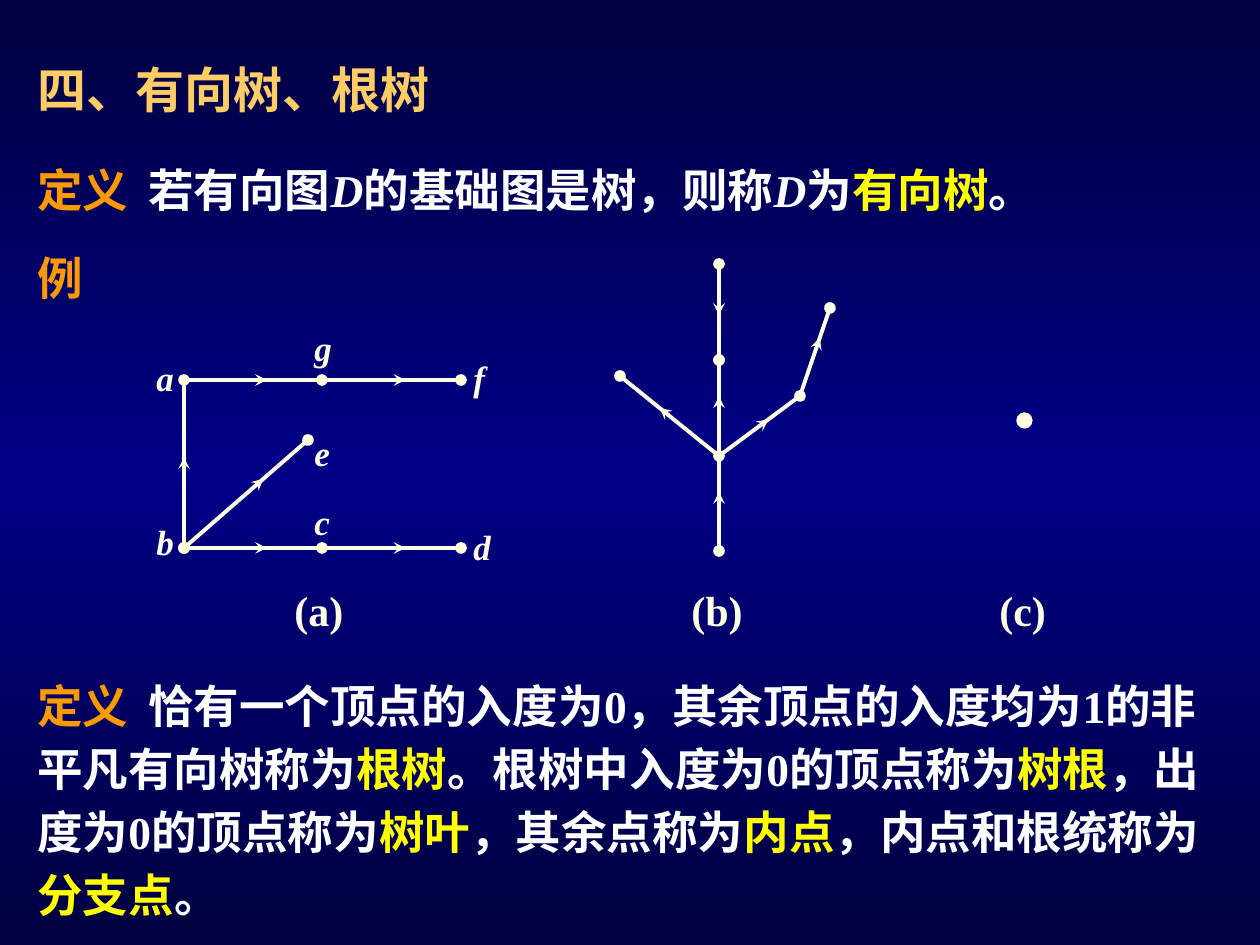
from copy import deepcopy
from dataclasses import dataclass
from math import hypot

from lxml.etree import SubElement
from pptx import Presentation
from pptx.dml.color import RGBColor as Rgb
from pptx.enum.shapes import MSO_CONNECTOR as Connector, MSO_SHAPE as Shape
from pptx.enum.text import MSO_ANCHOR as Anchor, MSO_AUTO_SIZE as AutoSize, PP_ALIGN as Align
from pptx.oxml.ns import qn
from pptx.util import Emu, Pt

PX_PER_INCH = 126


def px(length):
    return Emu(round(length * 914400 / PX_PER_INCH))


@dataclass(frozen=True)
class Theme:
    edge: str = "00003E"
    middle: str = "000086"
    heading: str = "FFCC66"
    term: str = "FF9900"
    body: str = "FFFFFF"
    key: str = "FFFF00"
    ink: str = "FFFFE1"
    serif: str = "Times New Roman"
    sans: str = "Arial"
    chinese: str = "Noto Sans CJK SC"
    title_size: int = 28
    body_size: int = 26
    caption_size: int = 24
    label_size: int = 20
    line_width: float = 2.25


def write(para, text, size, color, font, chinese, italic=False):
    """Add one bold span of text to a paragraph."""
    span = para.add_run()
    span.text = text
    span.font.size = Pt(size)
    span.font.bold = True
    span.font.italic = italic
    span.font.color.rgb = Rgb.from_string(color)
    span.font.name = font
    SubElement(span.font._element, qn("a:ea"), typeface=chinese)


class TreeSlide:
    def __init__(self, deck, theme):
        self.theme = theme
        self.slide = deck.slides.add_slide(deck.slide_layouts[5])

    def background(self):
        fill = self.slide.background.fill
        fill.gradient()
        fill.gradient_angle = 270
        first = next(self.slide.element.iter(qn("a:gs")))
        first.addnext(deepcopy(first))
        colors = (self.theme.edge, self.theme.middle, self.theme.edge)
        for stop, position, color in zip(fill.gradient_stops, (0, 0.5, 1), colors):
            stop.position = position
            stop.color.rgb = Rgb.from_string(color)

    def fill_box(self, box, place, spans, size, font, spacing=1.0, tab=None):
        box.left, box.top, box.width, box.height = map(px, place)
        frame = box.text_frame
        frame.word_wrap = True
        frame.auto_size = AutoSize.NONE
        frame.vertical_anchor = Anchor.TOP
        para = frame.paragraphs[0]
        para.alignment = Align.LEFT
        para.line_spacing = spacing
        para.space_before = Pt(0)
        if tab:
            stops = SubElement(para._p.get_or_add_pPr(), qn("a:tabLst"))
            SubElement(stops, qn("a:tab"), pos=str(px(tab)), algn="l")
        for text, color, *italic in spans:
            write(para, text, size, color, font, self.theme.chinese, italic=bool(italic))

    def title(self, text, place):
        self.fill_box(self.slide.shapes.title, place, [(text, self.theme.heading)],
                      self.theme.title_size, self.theme.chinese, spacing=1.2)

    def text(self, place, spans, size, font=None, **layout):
        box = self.slide.shapes.add_textbox(0, 0, 0, 0)
        self.fill_box(box, place, spans, size, font or self.theme.serif, **layout)

    def caption(self, text, left):
        self.text((left, 578, 90, 63), [(text, self.theme.ink)], self.theme.caption_size)

    def label(self, text, left, top):
        self.text((left, top, 40, 55), [(text, self.theme.ink, "italic")], self.theme.label_size)

    def line(self, start, end, head=None, tail=None):
        line = self.slide.shapes.add_connector(Connector.STRAIGHT, *map(px, start + end))
        line.line.color.rgb = Rgb.from_string(self.theme.ink)
        line.line.width = Pt(self.theme.line_width)
        outline = line.line._get_or_add_ln()
        for tag, kind in (("a:headEnd", head), ("a:tailEnd", tail)):
            if kind:
                SubElement(outline, qn(tag), type=kind)
        SubElement(line._element.spPr, qn("a:effectLst"))

    def directed_edge(self, start, end, tip, is_source):
        """Draw an edge to a vertex dot, with an arrow tip part of the way along."""
        self.line(start, end, head="oval" if is_source else None, tail="oval")
        dx, dy = end[0] - start[0], end[1] - start[1]
        back = tip - 12 / hypot(dx, dy)
        self.line((start[0] + dx * back, start[1] + dy * back),
                  (start[0] + dx * tip, start[1] + dy * tip), tail="stealth")

    def graph(self, vertices, edges):
        targets = {end for _, end, _ in edges}
        for start, end, tip in edges:
            self.directed_edge(vertices[start], vertices[end], tip, start not in targets)

    def dot(self, left, top, size):
        dot = self.slide.shapes.add_shape(Shape.OVAL, px(left), px(top), px(size), px(size))
        dot.shadow.inherit = False
        dot.fill.solid()
        dot.fill.fore_color.rgb = dot.line.color.rgb = Rgb.from_string(self.theme.ink)
        dot.line.width = Pt(0.75)


def main():
    deck = Presentation()
    deck.slide_width, deck.slide_height = px(1260), px(945)
    theme = Theme()
    page = TreeSlide(deck, theme)
    page.background()

    # Heading and definition of a directed tree
    page.title("四、有向树、根树", (25, 41, 466, 83))
    page.text((25, 145, 1072, 139), [
        ("定义\t", theme.term), ("若有向图", theme.body), ("D", theme.body, "italic"),
        ("的基础图是树，则称", theme.body), ("D", theme.body, "italic"), ("为", theme.body),
        ("有向树", theme.key), ("。", theme.body),
    ], theme.body_size, spacing=1.2, tab=111)
    page.text((25, 244, 82, 68), [("例", theme.term)], theme.body_size, theme.sans)

    # Example (a): labelled tree
    page.graph(
        {"a": (184, 380), "b": (184, 548), "c": (322, 548), "d": (461, 548),
         "e": (308, 440), "f": (461, 380), "g": (322, 380)},
        [("b", "a", 0.54), ("b", "e", 0.64), ("b", "c", 0.6), ("c", "d", 0.6),
         ("a", "g", 0.6), ("g", "f", 0.6)])
    for name, left, top in (("a", 144, 350), ("b", 144, 514), ("c", 302, 494), ("d", 461, 519),
                            ("e", 302, 425), ("f", 461, 350), ("g", 302, 320)):
        page.label(name, left, top)
    page.caption("(a)", 282)

    # Example (b): tree with two sources
    page.graph(
        {"bottom": (719, 551), "fork": (719, 456), "upper": (719, 360), "top": (719, 264),
         "left": (620, 376), "right": (800, 396), "tip": (830, 308)},
        [("bottom", "fork", 0.62), ("fork", "upper", 0.62), ("top", "upper", 0.53),
         ("fork", "left", 0.6), ("fork", "right", 0.61), ("right", "tip", 0.66)])
    page.caption("(b)", 679)

    # Example (c): single vertex
    page.dot(1017, 413, 15)
    page.caption("(c)", 987)

    # Definition of a rooted tree
    page.text((25, 664, 1207, 263), [
        ("定义\t", theme.term),
        ("恰有一个顶点的入度为0，其余顶点的入度均为1的非平凡有向树称为", theme.body),
        ("根树", theme.key), ("。根树中入度为0的顶点称为", theme.body),
        ("树根", theme.key), ("，出度为0的顶点称为", theme.body),
        ("树叶", theme.key), ("，其余点称为", theme.body),
        ("内点", theme.key), ("，内点和根统称为", theme.body),
        ("分支点", theme.key), ("。", theme.body),
    ], theme.body_size, spacing=1.15, tab=111)

    deck.save("out.pptx")


if __name__ == "__main__":
    main()
